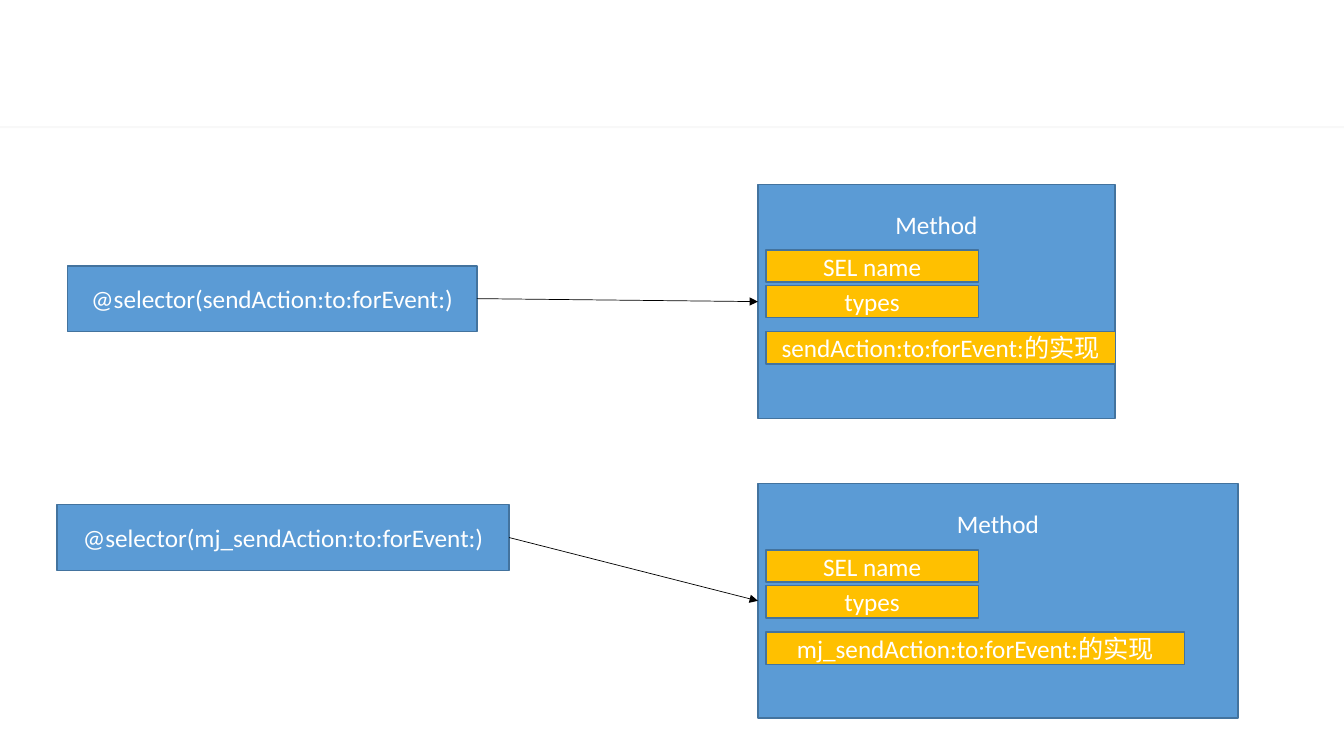
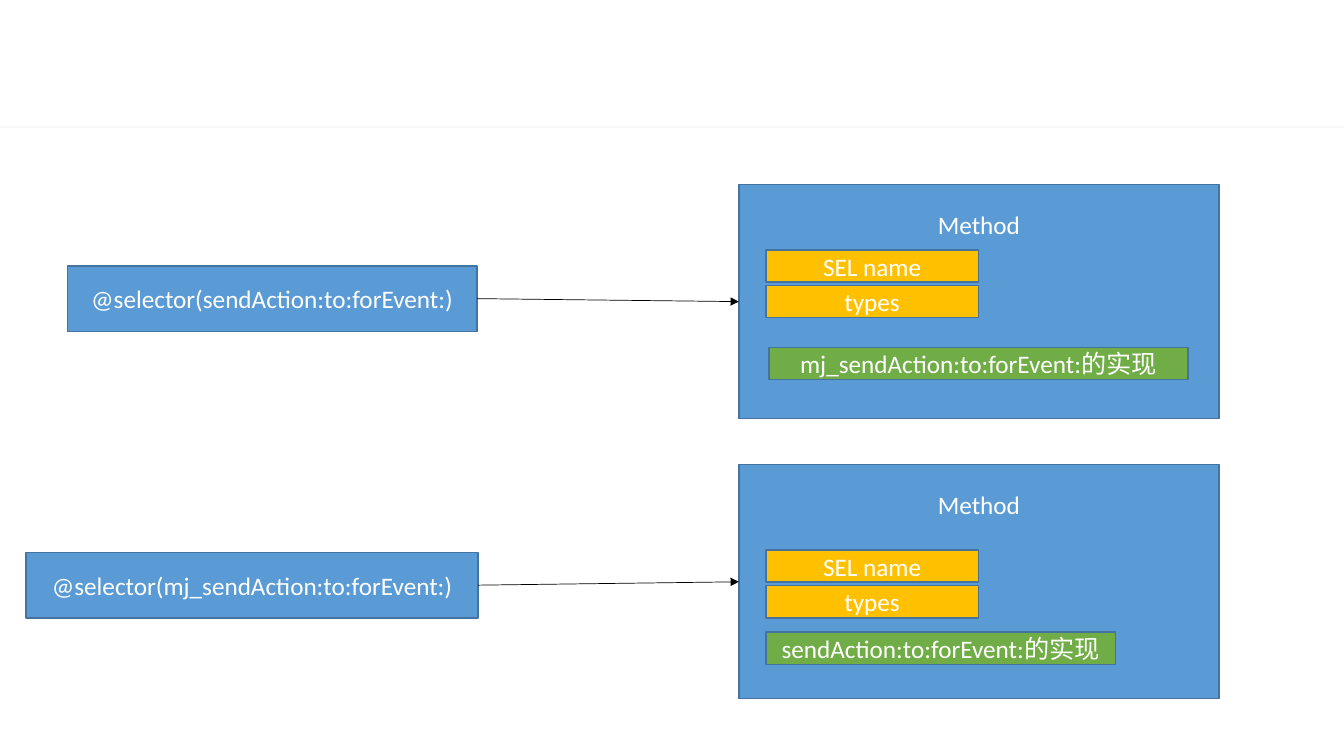
from dataclasses import dataclass

from lxml.etree import SubElement
from pptx import Presentation
from pptx.dml.color import RGBColor
from pptx.enum.shapes import MSO_CONNECTOR, MSO_SHAPE
from pptx.enum.text import MSO_ANCHOR, PP_ALIGN
from pptx.oxml.ns import qn
from pptx.util import Cm, Pt

SLIDE_WIDTH, SLIDE_HEIGHT = 33.87, 19.05
BLUE, AMBER, GREEN = "5B9BD5", "FFC000", "70AD47"
BORDER, WHITE, BLACK, DIVIDER = "43739E", "FFFFFF", "000000", "EAEAEA"
FONT = "Calibri"

SELECTOR_HEIGHT = 1.65
METHOD_HEIGHT = 5.9
METHOD_LABEL_INSET = 0.63
FIELD_LEFT, FIELD_WIDTH, FIELD_HEIGHT = 19.3, 5.36, 0.81
FIELD_PITCH = 0.9
FIELDS = ("SEL name", "types")

ORIGINAL = "sendAction:to:forEvent:"
REPLACEMENT = "mj_sendAction:to:forEvent:"
SELECTOR_WIDTHS = {ORIGINAL: 10.32, REPLACEMENT: 11.39}
IMPLEMENTATION_WIDTHS = {ORIGINAL: 8.81, REPLACEMENT: 10.56}


@dataclass
class Mapping:
    """A selector, the method it points to and the implementation inside; lengths in cm."""
    selector: str
    selector_at: tuple
    method_at: tuple
    method_width: float
    fields_top: float
    implementation: str
    implementation_at: tuple
    implementation_color: str = AMBER


BEFORE = (
    Mapping(ORIGINAL, (1.7, 6.7), (19.1, 4.65), 9, 6.3,
            ORIGINAL, (FIELD_LEFT, 8.36)),
    Mapping(REPLACEMENT, (1.44, 12.72), (19.1, 12.19), 12.1, 13.86,
            REPLACEMENT, (FIELD_LEFT, 15.93)),
)
AFTER = (
    Mapping(ORIGINAL, (1.7, 6.7), (18.62, 4.65), 12.1, 6.3,
            REPLACEMENT, (19.38, 8.76), GREEN),
    Mapping(REPLACEMENT, (0.66, 13.92), (18.62, 11.71), 12.1, 13.86,
            ORIGINAL, (FIELD_LEFT, 15.93), GREEN),
)


def rgb(value):
    return RGBColor.from_string(value)


def add_box(slide, position, width, height, fill, text=""):
    box = slide.shapes.add_shape(
        MSO_SHAPE.RECTANGLE, *(Cm(length) for length in (*position, width, height)))
    box.shadow.inherit = False
    box.fill.solid()
    box.fill.fore_color.rgb = rgb(fill)
    box.line.color.rgb = rgb(BORDER)
    box.line.width = Pt(1)
    frame = box.text_frame
    frame.margin_left = frame.margin_right = frame.margin_top = frame.margin_bottom = 0
    frame.word_wrap = True
    frame.vertical_anchor = MSO_ANCHOR.MIDDLE
    frame.text = text
    paragraph = frame.paragraphs[0]
    paragraph.alignment = PP_ALIGN.CENTER
    for run in paragraph.runs:
        run.font.name = FONT
        run.font.size = Pt(18)
        run.font.color.rgb = rgb(WHITE)
    return box


def add_layout_divider(slide):
    """Draw the pale divider and move it to the layout that all slides share."""
    divider = add_box(slide, (0, 3.18), SLIDE_WIDTH, 0.05, DIVIDER)
    divider.line.fill.background()
    color = divider.fill._xPr.find(qn("a:solidFill"))[0]
    SubElement(color, qn("a:alpha"), val="32000")
    slide.slide_layout.shapes.element.append(divider.element)


def add_arrow(slide, source, target):
    """Join the right side of source to the left side of target."""
    arrow = slide.shapes.add_connector(MSO_CONNECTOR.STRAIGHT, 0, 0, 0, 0)
    arrow.begin_connect(source, 3)
    arrow.end_connect(target, 1)
    arrow.line.color.rgb = rgb(BLACK)
    arrow.line.width = Pt(0.5)
    SubElement(arrow.line._get_or_add_ln(), qn("a:tailEnd"), type="triangle")
    SubElement(arrow.element.spPr, qn("a:effectLst"))


def add_method(slide, mapping):
    method = add_box(slide, mapping.method_at, mapping.method_width,
                     METHOD_HEIGHT, BLUE, "Method")
    method.text_frame.vertical_anchor = MSO_ANCHOR.TOP
    method.text_frame.margin_top = Cm(METHOD_LABEL_INSET)
    for row, field in enumerate(FIELDS):
        top = mapping.fields_top + row * FIELD_PITCH
        add_box(slide, (FIELD_LEFT, top), FIELD_WIDTH, FIELD_HEIGHT, AMBER, field)
    add_box(slide, mapping.implementation_at,
            IMPLEMENTATION_WIDTHS[mapping.implementation], FIELD_HEIGHT,
            mapping.implementation_color, f"{mapping.implementation}的实现")
    return method


def add_mapping(slide, mapping):
    selector = add_box(slide, mapping.selector_at, SELECTOR_WIDTHS[mapping.selector],
                       SELECTOR_HEIGHT, BLUE, f"@selector({mapping.selector})")
    add_arrow(slide, selector, add_method(slide, mapping))


def main():
    presentation = Presentation()
    presentation.slide_width = Cm(SLIDE_WIDTH)
    presentation.slide_height = Cm(SLIDE_HEIGHT)
    blank = presentation.slide_layouts[6]
    for mappings in (BEFORE, AFTER):
        slide = presentation.slides.add_slide(blank)
        for mapping in mappings:
            add_mapping(slide, mapping)
    add_layout_divider(presentation.slides[0])
    presentation.save("out.pptx")


if __name__ == "__main__":
    main()
